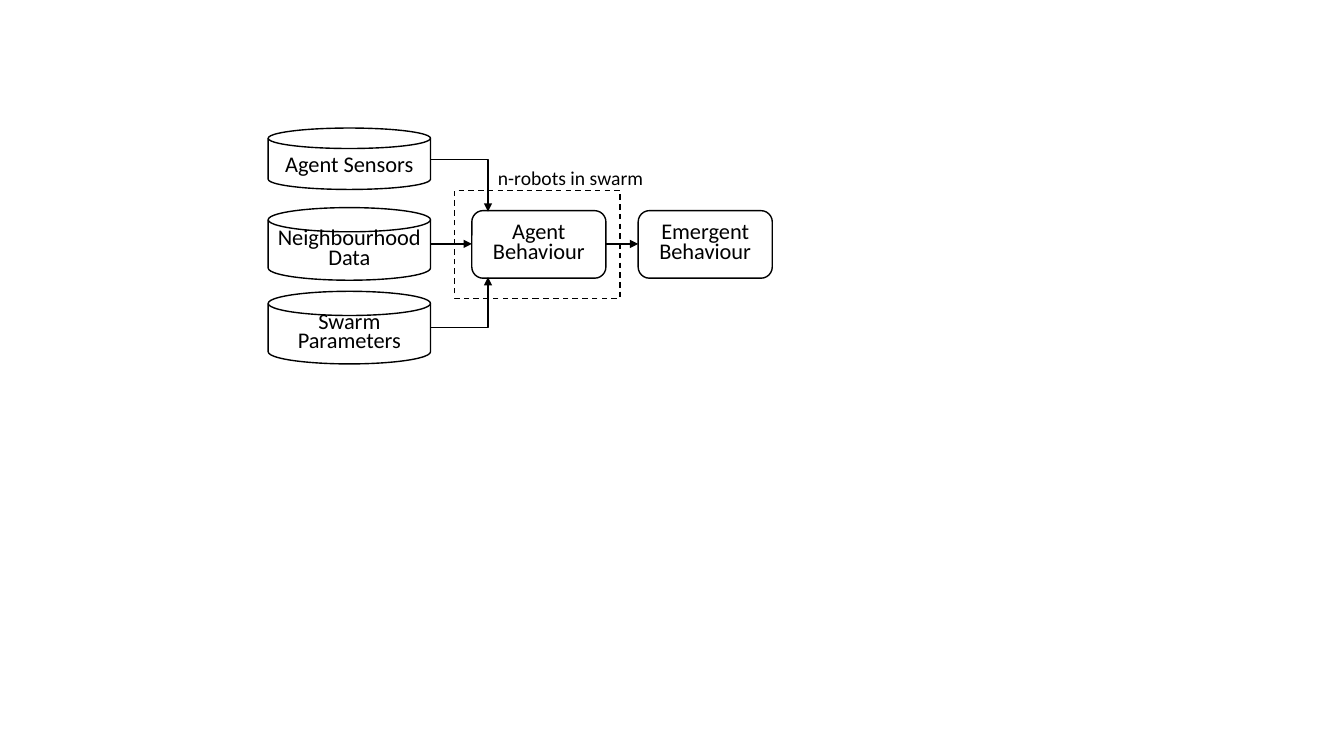
from pptx import Presentation
from pptx.dml.color import RGBColor
from pptx.enum.dml import MSO_LINE_DASH_STYLE as Dash
from pptx.enum.shapes import MSO_CONNECTOR_TYPE as Link, MSO_SHAPE as Shape
from pptx.enum.text import MSO_ANCHOR as Anchor, PP_ALIGN as Align
from pptx.oxml.ns import qn
from pptx.util import Inches, Pt
from lxml.etree import SubElement

BLACK = RGBColor(0, 0, 0)
FONT = "Calibri"
CELL = 0.1  # inches per grid column and row


def grid(*cells):
    return [Inches(cell * CELL) for cell in cells]


def write(frame, text, size=16, align=Align.CENTER, anchor=Anchor.MIDDLE,
          leading=None, side=1, wrap=True):
    """Put one formatted paragraph into a text frame."""
    frame.word_wrap = wrap
    frame.vertical_anchor = anchor
    frame.margin_left, frame.margin_right = grid(side, side)
    para = frame.paragraphs[0]
    para.alignment = align
    if leading:
        para.line_spacing = Pt(leading)
    span = para.add_run()
    span.text = text
    span.font.name, span.font.size = FONT, Pt(size)
    span.font.color.rgb = BLACK


class Diagram:
    """Black outlines of one weight on the current slide."""

    def __init__(self, page, color=BLACK, weight=1):
        self.page, self.color, self.weight = page, color, Pt(weight)

    def outline(self, line):
        line.color.rgb, line.width = self.color, self.weight

    def box(self, kind, left, top, width, height, text=None, dash=None, **style):
        box = self.page.shapes.add_shape(kind, *grid(left, top, width, height))
        box.shadow.inherit = False
        box.fill.background()
        self.outline(box.line)
        if dash:
            box.line.dash_style = dash
        if text:
            write(box.text_frame, text, **style)

    def label(self, left, top, width, height, text, **style):
        box = self.page.shapes.add_textbox(*grid(left, top, width, height))
        write(box.text_frame, text, **style)

    def arrow(self, start, end, bent=False):
        kind = Link.ELBOW if bent else Link.STRAIGHT
        arrow = self.page.shapes.add_connector(kind, *grid(*start, *end))
        self.outline(arrow.line)
        props = arrow._element.spPr
        SubElement(props.find(qn("a:ln")), qn("a:tailEnd"), type="triangle")
        SubElement(props, qn("a:effectLst"))
        if bent:  # turn at the far end of the horizontal leg
            guides = props.find(qn("a:prstGeom")).get_or_add_avLst()
            SubElement(guides, qn("a:gd"), name="adj1", fmla="val 100000")


def main():
    deck = Presentation()
    deck.slide_width, deck.slide_height = Inches(13.33), Inches(7.5)
    page = deck.slides.add_slide(deck.slide_layouts[6])
    diagram = Diagram(page)

    # Behaviours
    box_top, box_width, box_height = 20.9, 13.3, 6.7
    agent_left, emergent_left = 46.8, 63.3
    for left, text in ((agent_left, "Agent Behaviour"),
                       (emergent_left, "Emergent Behaviour")):
        diagram.box(Shape.ROUNDED_RECTANGLE, left, box_top, box_width,
                    box_height, text, leading=14)

    # Data sources
    disk_left, disk_width = 26.6, 16.1
    sources = (
        (12.7, 6.1, "Agent Sensors", {}),
        (20.6, 7.2, "Neighbourhood Data", {"leading": 14, "side": 0.4}),
        (28.9, 7.2, "Swarm Parameters", {"leading": 14}),
    )
    for top, height, text, style in sources:
        diagram.box(Shape.FLOWCHART_MAGNETIC_DISK, disk_left, top, disk_width,
                    height, text, **style)

    # Arrows from the sources to the agent, then on to the emergent behaviour
    disk_right, entry, middle = disk_left + disk_width, 48.4, 24.2
    diagram.arrow((disk_right, 15.8), (entry, 21), bent=True)
    diagram.arrow((disk_right, middle), (agent_left, middle))
    diagram.arrow((agent_left + box_width, middle), (emergent_left, middle))
    diagram.arrow((disk_right, 32.5), (entry, 27.5), bent=True)

    # Swarm boundary
    diagram.box(Shape.RECTANGLE, 45.1, 18.9, 16.4, 10.7, dash=Dash.DASH)
    diagram.label(entry, 16, 18.2, 3.4, "n-robots in swarm", size=14,
                  align=Align.LEFT, anchor=Anchor.TOP)

    deck.save("out.pptx")


if __name__ == "__main__":
    main()
